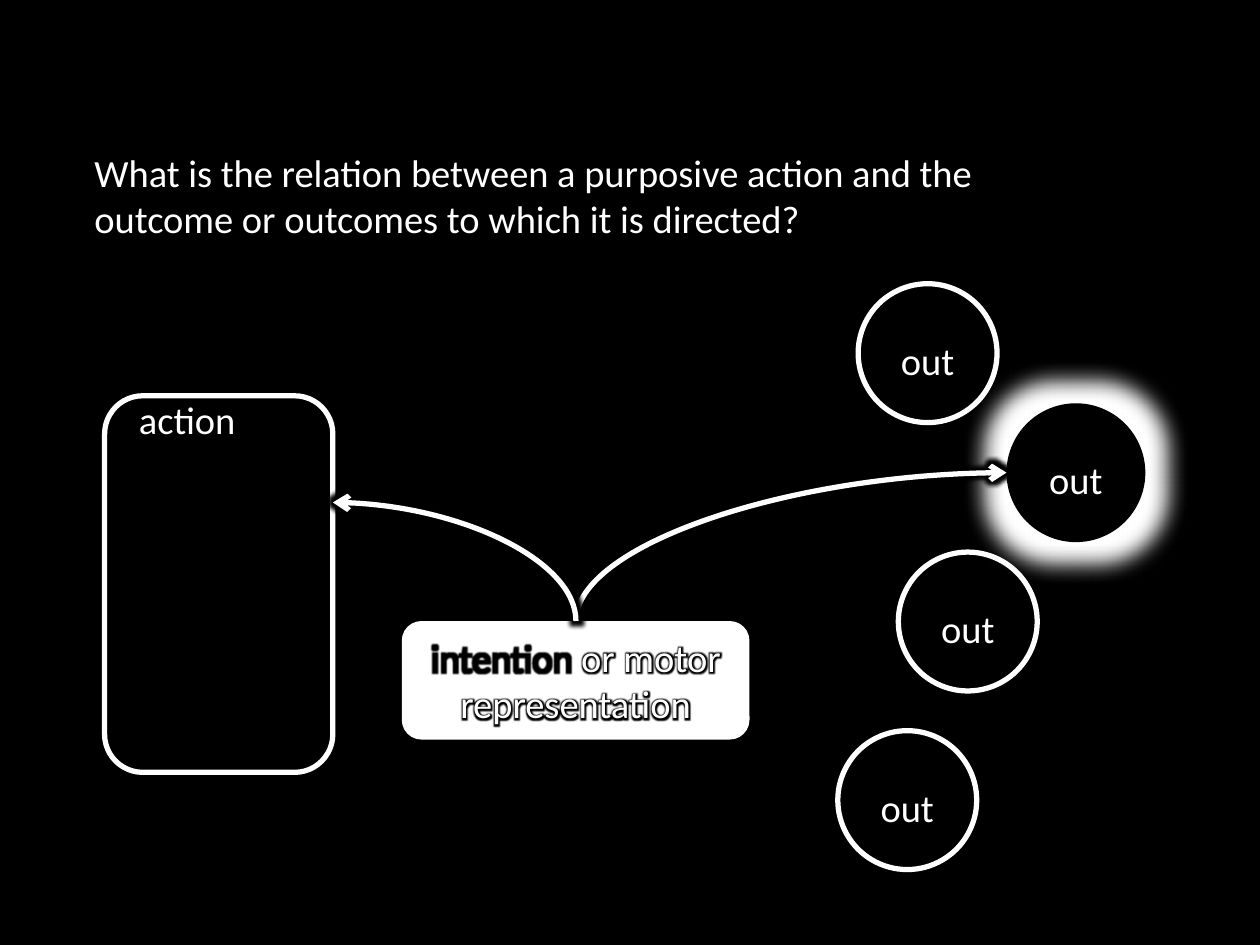
import pptx
import pptx.util
import pptx.dml.color
import pptx.enum.shapes
import pptx.enum.text
import pptx.oxml
import pptx.oxml.ns
import lxml.etree

Cm = pptx.util.Cm
Pt = pptx.util.Pt
Shapes = pptx.enum.shapes.MSO_SHAPE
Align = pptx.enum.text.PP_ALIGN
Anchor = pptx.enum.text.MSO_ANCHOR
qn = pptx.oxml.ns.qn
WHITE, BLACK = "FFFFFF", "000000"


def color(value):
    return pptx.dml.color.RGBColor.from_string(value)


def effects(value=None, radius=0):
    effect_list = lxml.etree.Element(qn("a:effectLst"))
    if value:
        glow = lxml.etree.SubElement(effect_list, qn("a:glow"), rad=str(int(Pt(radius))))
        lxml.etree.SubElement(glow, qn("a:srgbClr"), val=value)
    return effect_list


class Sketch:
    font, size, stroke = "Calibri", 22, 3

    def __init__(self, page):
        self.page = page

    def style(self, span, value=WHITE):
        span.font.name = self.font
        span.font.size = Pt(self.size)
        span.font.color.rgb = color(value)

    def title(self, text, left, top, width, height):
        box = self.page.shapes.title
        box.left, box.top, box.width, box.height = map(Cm, (left, top, width, height))
        frame = box.text_frame
        frame.text = text
        frame.word_wrap = True
        frame.auto_size = pptx.enum.text.MSO_AUTO_SIZE.NONE
        frame.vertical_anchor = Anchor.TOP
        para = frame.paragraphs[0]
        para.alignment = Align.LEFT
        self.style(para.runs[0])

    def shape(self, kind, left, top, width, height, fill=None, outline=None):
        shape = self.page.shapes.add_shape(kind, *map(Cm, (left, top, width, height)))
        shape.shadow.inherit = False
        if fill:
            shape.fill.solid()
            shape.fill.fore_color.rgb = color(fill)
        else:
            shape.fill.background()
        if outline:
            shape.line.color.rgb = color(outline)
            shape.line.width = Pt(self.stroke)
        else:
            shape.line.fill.background()
        return shape

    def label(self, shape, text):
        frame = shape.text_frame
        frame.text = text
        frame.vertical_anchor = Anchor.MIDDLE
        para = frame.paragraphs[0]
        para.alignment = Align.CENTER
        para.line_spacing = Pt(34)
        para.space_before = Pt(12)
        self.style(para.runs[0])

    def glowing_words(self, shape, parts):
        frame = shape.text_frame
        frame.vertical_anchor = Anchor.MIDDLE
        para = frame.paragraphs[0]
        para.alignment = Align.CENTER
        for text, value in parts:
            span = para.add_run()
            span.text = text
            self.style(span, value)
            fill = span.font._element.find(qn("a:solidFill"))
            fill.addnext(effects(BLACK, 5))

    def curve(self, start, end):
        (x1, y1), (x2, y2) = start, end
        side = 1 if x2 > x1 else -1
        across, down = side * abs(y2 - y1) / 2, abs(x2 - x1) / 2
        x, y = (x1 + x2) / 2, (y1 + y2) / 2
        curve = self.page.shapes.add_connector(
            pptx.enum.shapes.MSO_CONNECTOR.CURVE,
            Cm(x + across), Cm(y + down), Cm(x - across), Cm(y - down))
        curve.line.color.rgb = color(WHITE)
        curve.line.width = Pt(self.stroke)
        properties = curve._element.spPr
        properties.find(qn("a:prstGeom")).set("prst", "curvedConnector2")
        properties.find(qn("a:xfrm")).set("rot", str((90 if side > 0 else 270) * 60000))
        line = properties.find(qn("a:ln"))
        lxml.etree.SubElement(line, qn("a:tailEnd"), type="arrow")
        line.addnext(effects(BLACK, 5))


deck = pptx.Presentation()
deck.slide_width, deck.slide_height = Cm(25.4), Cm(19.05)
page = deck.slides.add_slide(deck.slide_layouts[5])
page.background.fill.solid()
page.background.fill.fore_color.rgb = color(BLACK)
sketch = Sketch(page)

sketch.title("What is the relation between a purposive action and the "
             "outcome or outcomes to which it is directed?", 1.65, 2.87, 20.27, 2.13)

sketch.shape(Shapes.ROUNDED_RECTANGLE, 2.11, 7.98, 4.6, 7.59, BLACK, WHITE)
action = sketch.shape(Shapes.OVAL, 2.11, 7.32, 3.33, 2.01)
action.text_frame.margin_left = action.text_frame.margin_right = 0
sketch.label(action, "action")

diameter = 2.8
for left, top, chosen in ((17.3, 5.72, False), (20.29, 8.13, True),
                          (18.11, 11.13, False), (16.89, 14.73, False)):
    outcome = sketch.shape(Shapes.OVAL, left, top, diameter, diameter,
                           BLACK if chosen else None, None if chosen else WHITE)
    sketch.label(outcome, "out")
    if chosen:
        outline = outcome._element.spPr
        outline.replace(outline.find(qn("a:effectLst")), effects(WHITE, 25))

junction = (11.61, 12.52)
sketch.curve(junction, (20.29, 9.53))
intention = sketch.shape(Shapes.ROUNDED_RECTANGLE, 8.1, 12.52, 7.01, 2.39, WHITE)
sketch.glowing_words(intention, (("intention ", BLACK), ("or motor representation", WHITE)))
sketch.curve(junction, (6.71, 10.13))

deck.save("out.pptx")
